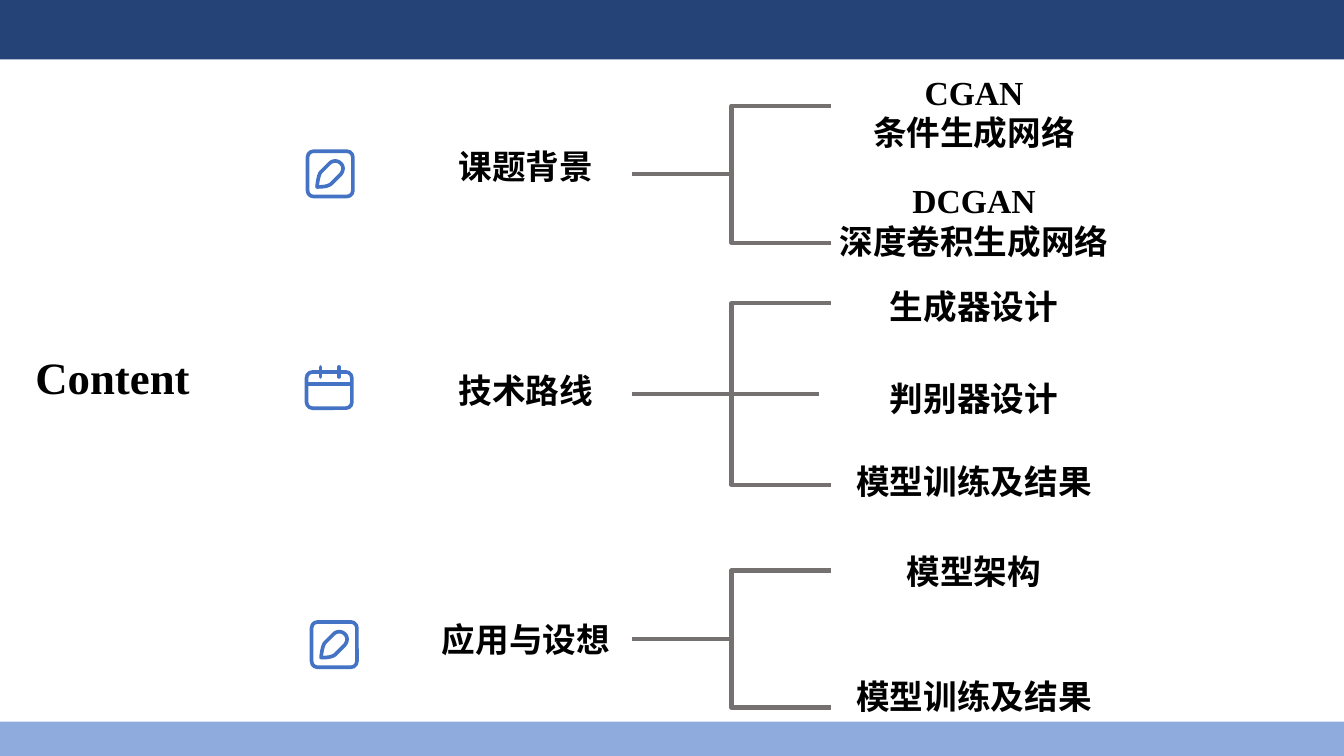
from dataclasses import dataclass

from lxml.etree import SubElement
from pptx import Presentation
from pptx.dml.color import RGBColor as RGB
from pptx.enum.shapes import MSO_CONNECTOR as LINK, MSO_SHAPE as SHAPE
from pptx.enum.text import MSO_ANCHOR as ANCHOR, MSO_AUTO_SIZE as FIT, PP_ALIGN as ALIGN
from pptx.oxml.ns import qn
from pptx.util import Inches, Pt


@dataclass(frozen=True)
class Theme:
    font: str = "Times New Roman"
    ink: RGB = RGB(0, 0, 0)
    navy: RGB = RGB.from_string("264378")
    pale: RGB = RGB.from_string("8FAADC")
    blue: RGB = RGB.from_string("4472C4")
    gray: RGB = RGB.from_string("767171")
    title: Pt = Pt(32)
    body: Pt = Pt(24)
    rule: Pt = Pt(3)
    stroke: Pt = Pt(2.6)


THEME = Theme()
WIDTH, HEIGHT = 13.33, 7.5
STEM, TWIG = 6.27, 8.24

# Topic, text top, middle of the bracket, half its height, then (text, top) of each branch
TOPICS = [
    ("课题背景", 1.4, 1.73, 0.68, [("CGAN\n条件生成网络", 0.66), ("DCGAN\n深度卷积生成网络", 1.74)]),
    ("技术路线", 3.62, 3.91, 0.9, [("生成器设计", 2.79), ("判别器设计", 3.7), ("模型训练及结果", 4.52)]),
    ("应用与设想", 6.09, 6.34, 0.68, [("模型架构", 5.42), ("模型训练及结果", 6.66)]),
]

# Pen outline as Bézier segments: two controls and an end each
PEN_START = (0.115, 0.375)
PEN = [
    ((0.12, 0.32), (0.13, 0.26), (0.15, 0.23)),
    ((0.18, 0.2), (0.21, 0.17), (0.24, 0.14)),
    ((0.27, 0.11), (0.32, 0.11), (0.35, 0.14)),
    ((0.38, 0.17), (0.38, 0.21), (0.35, 0.25)),
    ((0.32, 0.28), (0.29, 0.31), (0.26, 0.34)),
    ((0.23, 0.37), (0.17, 0.375), PEN_START),
]


def style(frame, size, align):
    for para in frame.paragraphs:
        para.alignment = align
        for run in para.runs:
            font = run.font
            font.name, font.size, font.bold = THEME.font, size, True
            font.color.rgb = THEME.ink


def add_title(slide, text):
    title = slide.shapes.title
    title.left, title.top = Inches(0.25), Inches(3.42)
    title.width, title.height = Inches(2.13), Inches(0.64)
    frame = title.text_frame
    frame.text = text
    frame.vertical_anchor = ANCHOR.TOP
    style(frame, THEME.title, ALIGN.LEFT)


def add_label(slide, text, left, top, width):
    height = 0.5 + 0.41 * text.count("\n")
    box = slide.shapes.add_textbox(Inches(left), Inches(top), Inches(width), Inches(height))
    frame = box.text_frame
    frame.word_wrap = True
    frame.auto_size = FIT.SHAPE_TO_FIT_TEXT
    frame.text = text
    style(frame, THEME.body, ALIGN.CENTER)


def add_bar(slide, top, height, color):
    bar = slide.shapes.add_shape(SHAPE.RECTANGLE, 0, Inches(top), Inches(WIDTH), Inches(height))
    bar.shadow.inherit = False
    bar.fill.solid()
    bar.fill.fore_color.rgb = color
    bar.line.fill.background()


def add_link(slide, kind, start, end, color, weight):
    link = slide.shapes.add_connector(kind, *map(Inches, start + end))
    link.line.color.rgb = color
    link.line.width = weight
    SubElement(link._element.spPr, qn("a:effectLst"))
    return link


def add_fork(slide, mid, half, count):
    for end in (mid + half, mid - half):
        add_link(slide, LINK.ELBOW, (STEM, mid), (TWIG, end), THEME.gray, THEME.rule)
    if count == 3:
        add_link(slide, LINK.STRAIGHT, (7.25, mid), (8.12, mid), THEME.gray, THEME.rule)


def outline(shape):
    shape.shadow.inherit = False
    shape.fill.background()
    shape.line.color.rgb = THEME.blue
    shape.line.width = THEME.stroke


def add_frame(slide, left, top, width, height):
    frame = slide.shapes.add_shape(SHAPE.ROUNDED_RECTANGLE, Inches(left), Inches(top),
                                   Inches(width), Inches(height))
    frame.adjustments[0] = 0.06 / min(width, height)
    outline(frame)


def curve(start, segments, steps=10):
    """Return points along a chain of cubic Bézier segments."""
    points = [start]
    for one, two, end in segments:
        first = points[-1]
        for step in range(1, steps + 1):
            t = step / steps
            u = 1 - t
            points.append(tuple(
                u**3 * a + 3 * u * u * t * b + 3 * u * t * t * c + t**3 * d
                for a, b, c, d in zip(first, one, two, end)))
    return points


def add_pen(slide, left, top):
    add_frame(slide, left + 0.02, top + 0.02, 0.45, 0.45)
    points = [(Inches(left + x), Inches(top + y)) for x, y in curve(PEN_START, PEN)]
    build = slide.shapes.build_freeform(*points[0])
    build.add_line_segments(points[1:], close=True)
    outline(build.convert_to_shape())


def add_calendar(slide, left, top):
    add_frame(slide, left + 0.02, top + 0.07, 0.45, 0.36)
    add_link(slide, LINK.STRAIGHT, (left + 0.02, top + 0.19), (left + 0.47, top + 0.19),
             THEME.blue, THEME.stroke)
    for x in (left + 0.16, left + 0.34):
        ring = add_link(slide, LINK.STRAIGHT, (x, top + 0.02), (x, top + 0.12),
                        THEME.blue, THEME.stroke)
        ring.line._get_or_add_ln().set("cap", "rnd")


def main():
    deck = Presentation()
    deck.slide_width, deck.slide_height = Inches(WIDTH), Inches(HEIGHT)
    slide = deck.slides.add_slide(deck.slide_layouts[5])
    add_bar(slide, -0.01, 0.6, THEME.navy)
    add_bar(slide, 7.16, 0.34, THEME.pale)
    add_title(slide, "Content")
    for topic, top, mid, half, branches in TOPICS:
        add_label(slide, topic, 3.64, top, 3.15)
        add_fork(slide, mid, half, len(branches))
        for text, y in branches:
            add_label(slide, text, 7.69, y, 3.94)
    add_pen(slide, 3.03, 1.48)
    add_calendar(slide, 3.02, 3.62)
    add_pen(slide, 3.07, 6.15)
    deck.save("out.pptx")


if __name__ == "__main__":
    main()
